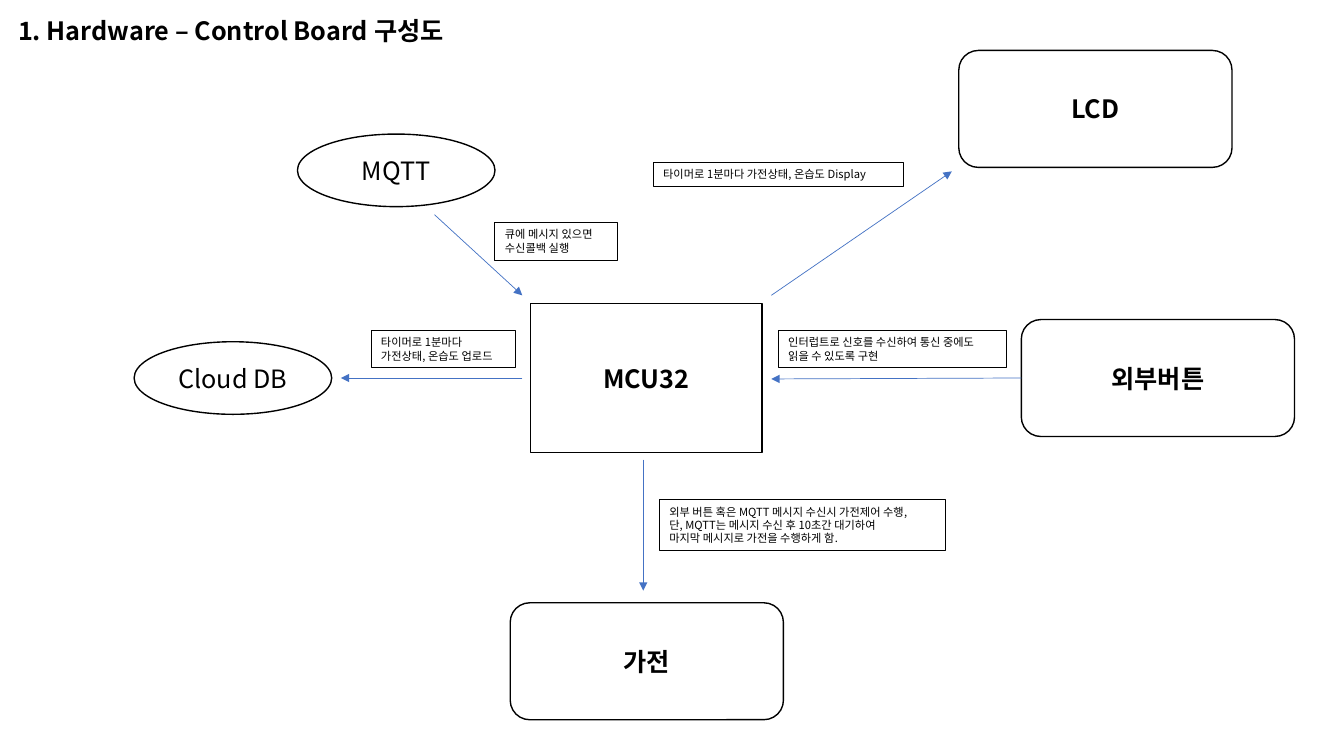
import pptx
import pptx.dml.color
import pptx.enum.shapes
import pptx.enum.text
import pptx.oxml.ns
import pptx.util
import lxml.etree

SHAPE = pptx.enum.shapes.MSO_SHAPE
ALIGN = pptx.enum.text.PP_ALIGN
ANCHOR = pptx.enum.text.MSO_ANCHOR
FIT = pptx.enum.text.MSO_AUTO_SIZE

THEME = {
    "font": "Noto Sans CJK KR",
    "ink": pptx.dml.color.RGBColor.from_string("000000"),
    "arrow": pptx.dml.color.RGBColor.from_string("4472C4"),
    "head": pptx.util.Pt(18),
    "note": pptx.util.Pt(8),
    "node_line": pptx.util.Pt(1),
    "note_line": pptx.util.Pt(0.75),
    "arrow_line": pptx.util.Pt(0.5),
}
WIDTH, HEIGHT = pptx.util.Inches(13.33), pptx.util.Inches(7.5)

DEVICE = (SHAPE.ROUNDED_RECTANGLE, 20.33, 15.47, True)
SERVICE = (SHAPE.OVAL, 14.7, 9.6, False)
BOARD = (SHAPE.RECTANGLE, 17.25, 19.73, True)

NODES = [
    ("MCU32", 39.46, 40.13, BOARD),
    ("MQTT", 22.13, 17.73, SERVICE),
    ("Cloud DB", 9.98, 45.2, SERVICE),
    ("가전", 37.96, 79.73, DEVICE),
    ("외부버튼", 75.99, 42.27, DEVICE),
    ("LCD", 71.34, 6.67, DEVICE),
]
ARROWS = [
    (32.33, 28.4, 38.86, 39.07),
    (38.86, 50, 25.36, 50),
    (47.86, 60.8, 47.86, 78.13),
    (75.99, 50, 57.39, 50.13),
    (57.39, 39.07, 70.82, 22.67),
]
NOTES = [
    (36.83, 29.47, 9.15, 4.93, ["큐에 메시지 있으면", "수신콜백 실행"]),
    (27.61, 43.73, 10.73, 4.93, ["타이머로 1분마다", "가전상태, 온습도 업로드"]),
    (49.06, 66.13, 21.31, 6.67, [
        "외부 버튼 혹은 MQTT 메시지 수신시 가전제어 수행,",
        "단, MQTT는 메시지 수신 후 10초간 대기하여",
        "마지막 메시지로 가전을 수행하게 함.",
    ]),
    (57.91, 43.73, 16.95, 4.93, ["인터럽트로 신호를 수신하여 통신 중에도", "읽을 수 있도록 구현"]),
    (48.61, 21.47, 18.6, 3.2, ["타이머로 1분마다 가전상태, 온습도 Display"]),
]


def share(*percents):
    """Turn alternating x and y percentages of the slide into lengths."""
    return [round((HEIGHT if i % 2 else WIDTH) * v / 100) for i, v in enumerate(percents)]


def apply(obj, formats):
    """Set each attribute named in a dict of format values."""
    for name, value in formats.items():
        setattr(obj, name, value)


def write(tf, lines, size, bold, align, frame):
    """Fill a text frame with one formatted paragraph per line."""
    apply(tf, frame)
    for i, line in enumerate(lines):
        p = tf.add_paragraph() if i else tf.paragraphs[0]
        p.alignment = align
        r = p.add_run()
        r.text = line
        r.font.color.rgb = THEME["ink"]
        apply(r.font, {"size": size, "bold": bold, "name": THEME["font"]})
        ea = lxml.etree.SubElement(r.font._element, pptx.oxml.ns.qn("a:ea"))
        ea.set("typeface", THEME["font"])


def outline(sp, color, width):
    """Give a shape or connector a solid line."""
    sp.line.color.rgb = color
    sp.line.width = width


def add_title(s, text):
    """Place the slide title at the top left."""
    sp = s.shapes.title
    apply(sp, dict(zip(("left", "top", "width", "height"), share(0.6, 1.33, 33.83, 5.33))))
    write(sp.text_frame, [text], THEME["head"], True, ALIGN.LEFT,
          {"word_wrap": False, "auto_size": FIT.NONE, "vertical_anchor": ANCHOR.TOP})


def add_node(s, text, x, y, kind):
    """Draw one named component of the system."""
    preset, w, h, bold = kind
    sp = s.shapes.add_shape(preset, *share(x, y, w, h))
    sp.shadow.inherit = False
    sp.fill.background()
    outline(sp, THEME["ink"], THEME["node_line"])
    write(sp.text_frame, [text], THEME["head"], bold, ALIGN.CENTER,
          {"word_wrap": True, "vertical_anchor": ANCHOR.MIDDLE})


def add_arrow(s, *ends):
    """Draw an arrow between two points."""
    sp = s.shapes.add_connector(pptx.enum.shapes.MSO_CONNECTOR.STRAIGHT, *share(*ends))
    outline(sp, THEME["arrow"], THEME["arrow_line"])
    ln = sp.line._get_or_add_ln()
    lxml.etree.SubElement(ln, pptx.oxml.ns.qn("a:tailEnd")).set("type", "triangle")
    lxml.etree.SubElement(sp._element.spPr, pptx.oxml.ns.qn("a:effectLst"))


def add_note(s, x, y, w, h, lines):
    """Draw a framed note that explains an arrow."""
    sp = s.shapes.add_textbox(*share(x, y, w, h))
    outline(sp, THEME["ink"], THEME["note_line"])
    write(sp.text_frame, lines, THEME["note"], False, ALIGN.LEFT,
          {"word_wrap": True, "auto_size": FIT.SHAPE_TO_FIT_TEXT})


def main():
    """Build the control board diagram."""
    prs = pptx.Presentation()
    apply(prs, {"slide_width": WIDTH, "slide_height": HEIGHT})
    s = prs.slides.add_slide(prs.slide_layouts.get_by_name("Title Only"))
    add_title(s, "1. Hardware – Control Board 구성도")
    for draw, rows in ((add_node, NODES), (add_arrow, ARROWS), (add_note, NOTES)):
        for row in rows:
            draw(s, *row)
    prs.save("out.pptx")


if __name__ == "__main__":
    main()
